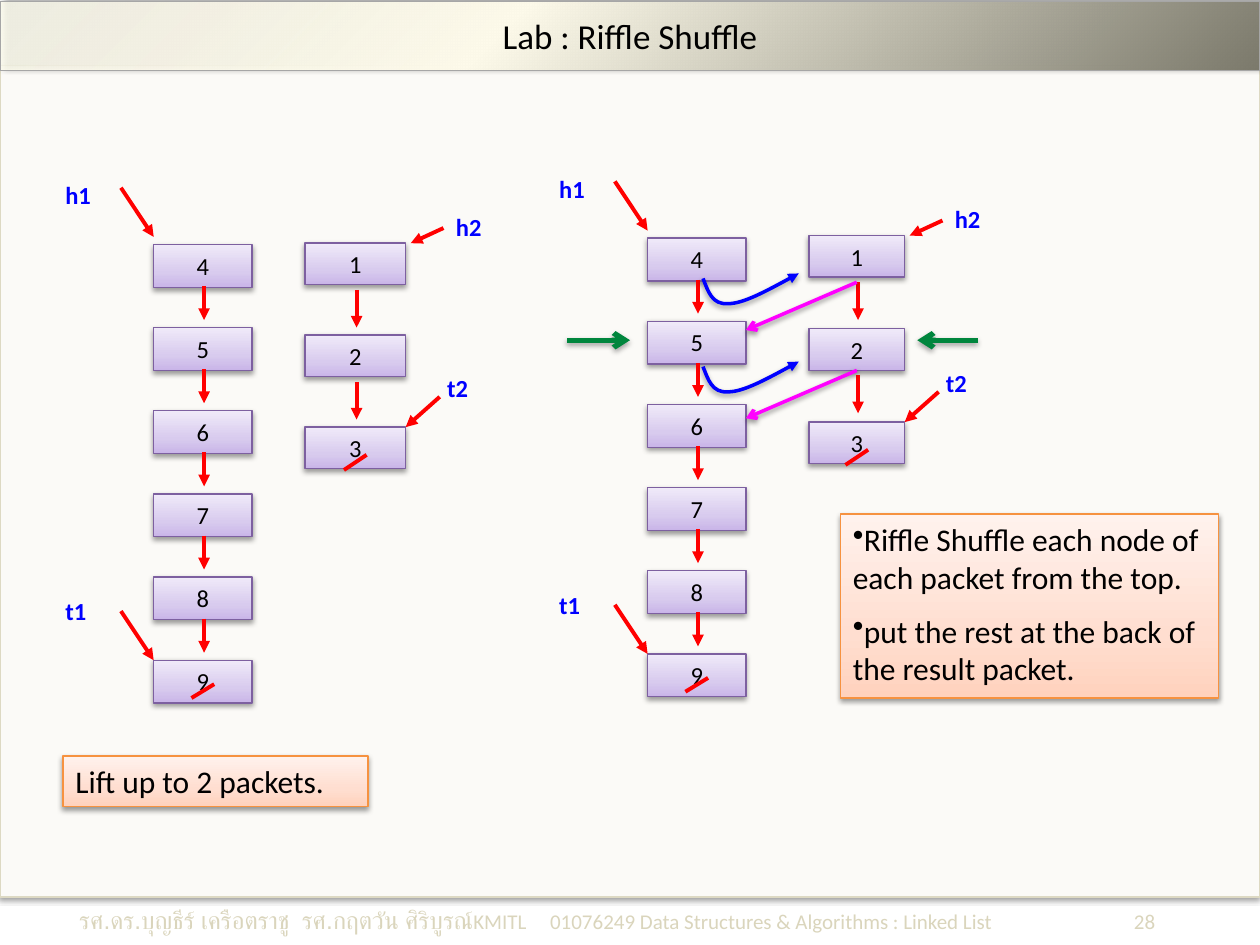
import dataclasses
import typing

import pptx
import pptx.dml.color
import pptx.enum.shapes
import pptx.enum.text
import pptx.oxml
import pptx.oxml.ns
import pptx.util

Inches = pptx.util.Inches
Pt = pptx.util.Pt
qn = pptx.oxml.ns.qn
Align = pptx.enum.text.PP_ALIGN
Anchor = pptx.enum.text.MSO_ANCHOR
Point = tuple[float, float]

HUE = {
    "panel": "FBFAF7", "edge": "DDD9C3", "foot": "DAD5BC", "ink": "000000",
    "red": "FF0000", "blue": "0000FF", "green": "00863D", "pink": "FF00FF",
    "node": "7D60A0", "note": "F69240", "title": "A6A6A6",
}
# Each stop: position, colour, opacity (all in percent)
FADE = {
    "node": [(0, "C9B5E8", 100), (35, "D8CBEE", 100), (100, "F0EAF9", 100)],
    "note": [(0, "FFD2BD", 100), (35, "FFDED0", 100), (100, "FFF2ED", 100)],
    "title": [(0, "FEFCEE", 79), (40, "FDFAEA", 100), (100, "7B796B", 100)],
}


class Shade(typing.NamedTuple):
    alpha: int = 38
    blur: float = 3.1
    dist: float = 1.6
    turn: int = 90


class Mark(typing.NamedTuple):
    """A named pointer, as offsets from the corner of its node."""
    label: Point
    start: Point
    end: Point


@dataclasses.dataclass
class Style:
    """What packets of one kind share."""
    size: Point
    link: Point
    slash: Point
    head: Mark
    tail: Mark
    side: int


@dataclasses.dataclass
class Packet:
    style: Style
    left: float
    top: float
    step: float
    nodes: str
    tag: str


LONG = Style((0.78, 0.34), (0.33, 0.60), (0.30, 0.19),
             Mark((-0.8, -0.56), (-0.26, -0.45), (0, -0.06)),
             Mark((-0.8, -0.56), (-0.26, -0.39), (0, 0)), 0)
SHORT = Style((0.8, 0.33), (0.37, 0.67), (0.34, 0.22),
              Mark((0.3, -0.3), (0.3, -0.12), (0.04, 0)),
              Mark((0.23, -0.48), (0.27, -0.24), (0, 0)), 1)
SLIM = dataclasses.replace(SHORT, size=(0.76, 0.33))
PACKETS = [
    Packet(LONG, 1.22, 1.94, 0.66, "456789", "1"),
    Packet(SHORT, 2.42, 1.93, 0.73, "123", "2"),
    Packet(LONG, 5.14, 1.89, 0.66, "456789", "1"),
    Packet(SLIM, 6.42, 1.87, 0.74, "123", "2"),
]


def paint(name: str) -> pptx.dml.color.RGBColor:
    return pptx.dml.color.RGBColor.from_string(HUE[name])


def add(root, tag: str, **attrs):
    """Append a drawing element with the given attributes."""
    node = root.makeelement(qn(tag), {k: str(v) for k, v in attrs.items()})
    root.append(node)
    return node


def shade(shape, cast: Shade | None) -> None:
    """Replace the theme shadow; call it after the line is set."""
    props = shape._element.spPr
    for old in props.findall(qn("a:effectLst")):
        props.remove(old)
    root = add(props, "a:effectLst")
    if cast:
        drop = add(root, "a:outerShdw", blurRad=Pt(cast.blur), dist=Pt(cast.dist),
                   dir=cast.turn * 60000, rotWithShape=0)
        add(add(drop, "a:srgbClr", val=HUE["ink"]), "a:alpha", val=cast.alpha * 1000)


def fade(shape, name: str, angle: int) -> None:
    shape.fill.gradient()
    shape.fill.gradient_angle = angle
    stops = shape._element.spPr.find(qn("a:gradFill")).find(qn("a:gsLst"))
    for old in list(stops):
        stops.remove(old)
    for place, tint, alpha in FADE[name]:
        stop = add(add(stops, "a:gs", pos=place * 1000), "a:srgbClr", val=tint)
        if alpha < 100:
            add(stop, "a:alpha", val=alpha * 1000)


def stroke(shape, name: str, width: float, tip: str = "") -> None:
    shape.line.color.rgb = paint(name)
    shape.line.width = Pt(width)
    if tip:
        add(shape.line._get_or_add_ln(), "a:tailEnd", type=tip)


def write(shape, *lines: str, size: float = 14, hue: str = "ink", bold: bool = False,
          align=Align.LEFT, anchor=Anchor.TOP, bullet: str = "") -> None:
    frame = shape.text_frame
    frame.word_wrap = True
    frame.vertical_anchor = anchor
    frame.margin_left = frame.margin_right = Inches(0.1)
    frame.margin_top = frame.margin_bottom = Inches(0.05)
    for i, line in enumerate(lines):
        para = frame.add_paragraph() if i else frame.paragraphs[0]
        para.alignment = align
        if i:
            para.space_before = Pt(size / 2)
        if bullet:
            add(para._p.get_or_add_pPr(), "a:buChar", char=bullet)
        style(para.add_run(), line, size, hue, bold)


def style(run, text: str, size: float, hue: str, bold: bool = False,
          face: str = "Calibri") -> None:
    run.text = text
    run.font.name, run.font.size, run.font.bold = face, Pt(size), bold
    run.font.color.rgb = paint(hue)


def box(slide, x: float, y: float, w: float, h: float, name: str):
    shape = slide.shapes.add_shape(pptx.enum.shapes.MSO_SHAPE.RECTANGLE,
                                   Inches(x), Inches(y), Inches(w), Inches(h))
    if name in FADE:
        fade(shape, name, 90)
    else:
        shape.fill.solid()
        shape.fill.fore_color.rgb = paint("panel")
    stroke(shape, name, 0.75)
    shade(shape, Shade())
    return shape


def line(slide, start: Point, end: Point, hue: str = "red", width: float = 2.25,
         tip: str = "triangle", cast: Shade | None = None) -> None:
    shape = slide.shapes.add_connector(pptx.enum.shapes.MSO_CONNECTOR.STRAIGHT,
                                       *map(Inches, start + end))
    stroke(shape, hue, width, tip)
    shade(shape, cast)


def curve(slide, x: float, y: float) -> None:
    """Draw a hooked arrow of two cubic arcs from (x, y)."""
    steps = [(0.04, 0.1), (0.07, 0.21), (0.2, 0.2),
             (0.32, 0.2), (0.54, 0.08), (0.76, -0.04)]
    pen = slide.shapes.build_freeform(Inches(x), Inches(y))
    pen.add_line_segments([(Inches(x + a), Inches(y + b)) for a, b in steps], close=False)
    shape = pen.convert_to_shape()
    track = next(shape._element.iter(qn("a:path")))
    legs = track.findall(qn("a:lnTo"))
    for i in range(0, len(legs), 3):
        arc = add(track, "a:cubicBezTo")
        for leg in legs[i:i + 3]:
            arc.append(leg[0])
            track.remove(leg)
    shape.fill.background()
    stroke(shape, "blue", 2, "triangle")
    shade(shape, Shade())


def point(slide, x: float, y: float, mark: Mark, text: str) -> None:
    line(slide, (x + mark.start[0], y + mark.start[1]), (x + mark.end[0], y + mark.end[1]))
    label = slide.shapes.add_textbox(Inches(x + mark.label[0]), Inches(y + mark.label[1]),
                                     Inches(0.5), Inches(0.34))
    write(label, text, hue="blue", bold=True)


def stack(slide, pack: Packet) -> None:
    """Draw a linked list downward with its head and tail pointers."""
    kind = pack.style
    w, h = kind.size
    mid = pack.left + w / 2
    tops = [pack.top + i * pack.step for i in range(len(pack.nodes))]
    for text, y in zip(pack.nodes, tops):
        write(box(slide, pack.left, y, w, h, "node"), text, align=Align.CENTER)
    for y in tops[:-1]:
        line(slide, (mid + 0.01, y + kind.link[0]), (mid + 0.01, y + kind.link[1]))
    last = tops[-1]
    line(slide, (mid - 0.09, last + kind.slash[0]), (mid + 0.09, last + kind.slash[1]), tip="")
    edge = pack.left + kind.side * w
    point(slide, edge, pack.top, kind.head, "h" + pack.tag)
    point(slide, edge, last, kind.tail, "t" + pack.tag)


def footer(slide) -> None:
    shape = slide.shapes.add_textbox(Inches(0.53), Inches(7.11), Inches(8.98), Inches(0.37))
    shape.text_frame.word_wrap = True
    para = shape.text_frame.paragraphs[0]
    tabs = add(para._p.get_or_add_pPr(), "a:tabLst")
    for place, kind in [(4.32, "dec"), (8.54, "r")]:
        add(tabs, "a:tab", pos=Inches(place), algn=kind)
    for text, size, face in [
        ("รศ.ดร.บุญธีร์ เครือตราชู  รศ.กฤตวัน ศิริบูรณ์", 14, "Arial"),
        ("\tKMITL     01076249 Data Structures & Algorithms : Linked List", 12, "Calibri"),
        ("\t", 16, "Calibri"), ("28", 12, "Calibri"),
    ]:
        style(para.add_run(), text, size, "foot", face=face)


def header(slide) -> None:
    title = slide.shapes.title
    title.left, title.top, title.width, title.height = map(Inches, (0, 0.01, 10, 0.55))
    fade(title, "title", 315)
    stroke(title, "title", 0.75)
    shade(title, Shade(40, 4, 3, 315))
    write(title, "Lab : Riffle Shuffle", size=20, align=Align.CENTER, anchor=Anchor.MIDDLE)
    slide.shapes._spTree.append(title._element)


def main() -> None:
    deck = pptx.Presentation()
    deck.slide_width, deck.slide_height = Inches(10), Inches(7.5)
    slide = deck.slides.add_slide(deck.slide_layouts[5])
    box(slide, 0, 0.52, 10, 6.6, "edge")
    footer(slide)
    for pack in PACKETS:
        stack(slide, pack)
    for y in (2.21, 2.91):
        curve(slide, 5.58, y)
        line(slide, (6.8, y + 0.03), (5.92, y + 0.41), "pink", 2, "arrow", Shade())
    for start, end in [(4.5, 5), (7.76, 7.28)]:
        line(slide, (start, 2.7), (end, 2.7), "green", 3, "arrow", Shade(35, 3.1, 1.8))
    write(box(slide, 0.5, 6, 2.42, 0.4, "note"), "Lift up to 2 packets.", size=18)
    write(box(slide, 6.67, 4.08, 3, 1.46, "note"),
          "Riffle Shuffle each node of each packet from the top.",
          "put the rest at the back of the result packet.", size=18, bullet="•")
    header(slide)
    deck.save("out.pptx")


if __name__ == "__main__":
    main()
